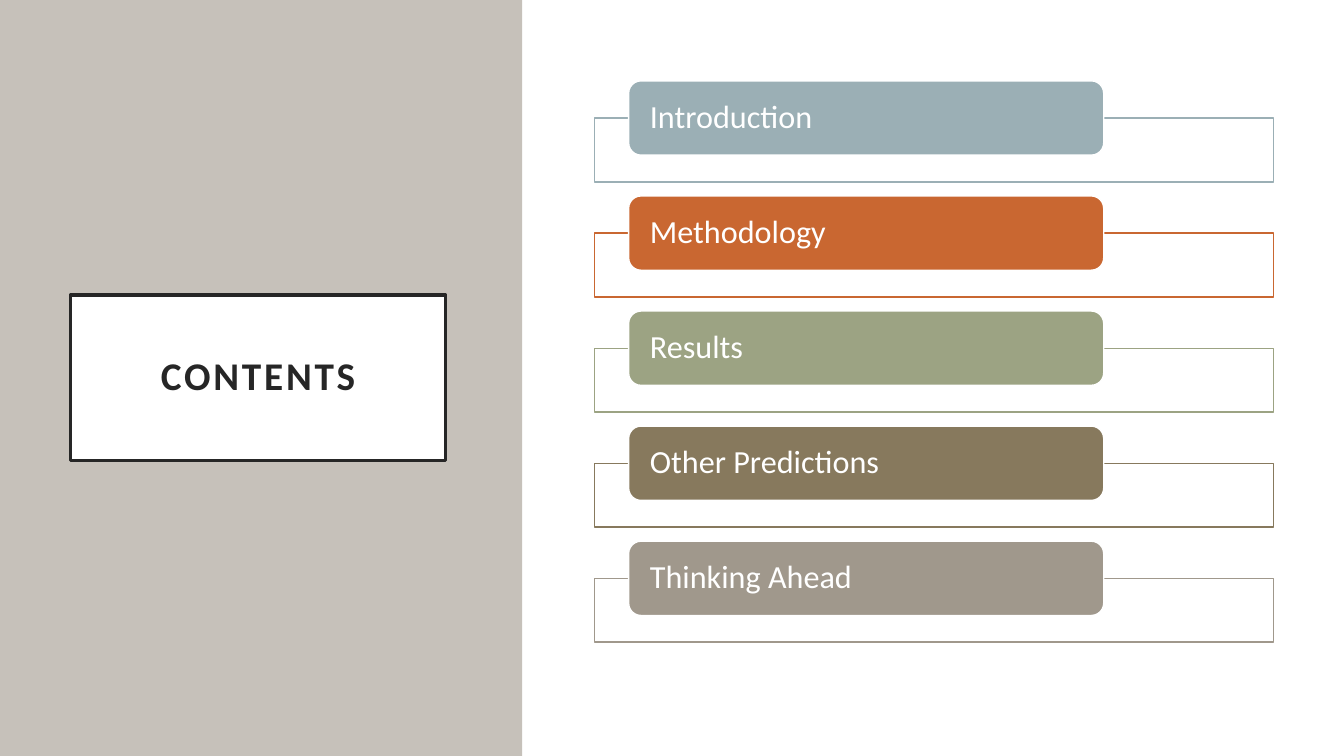
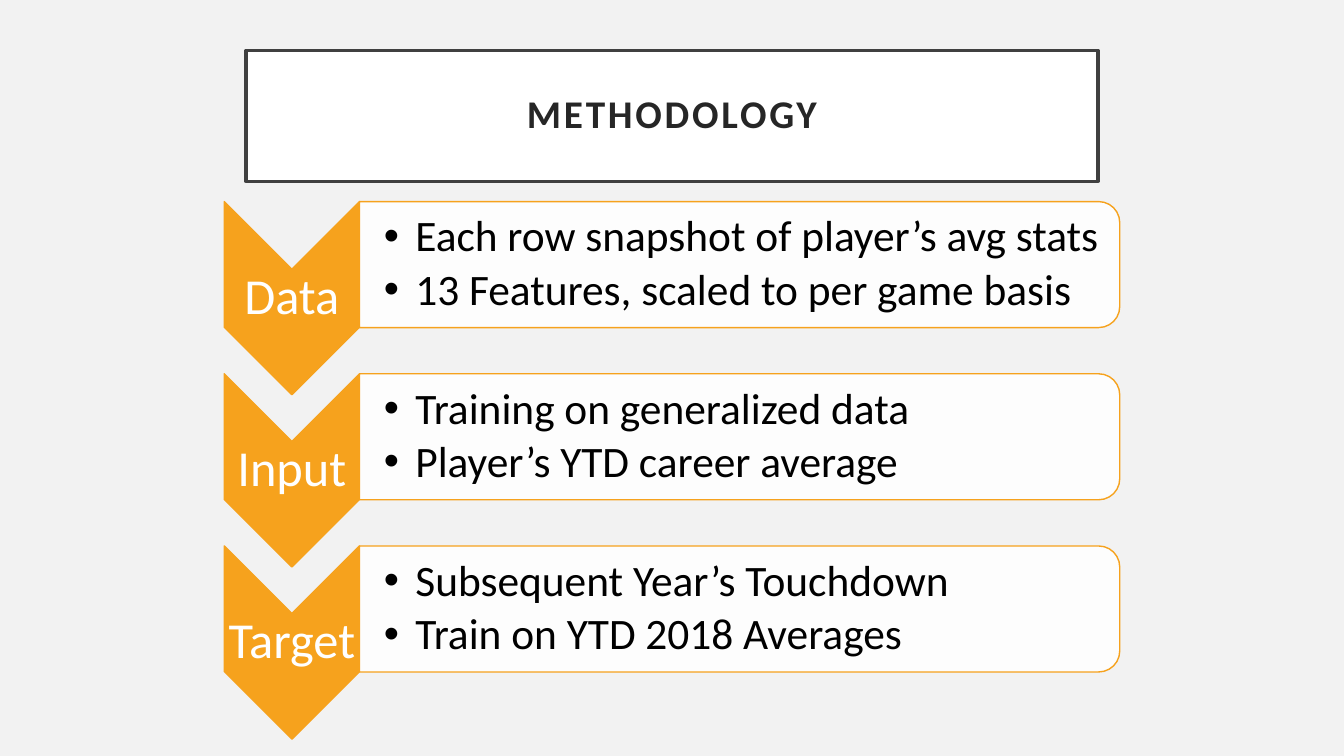
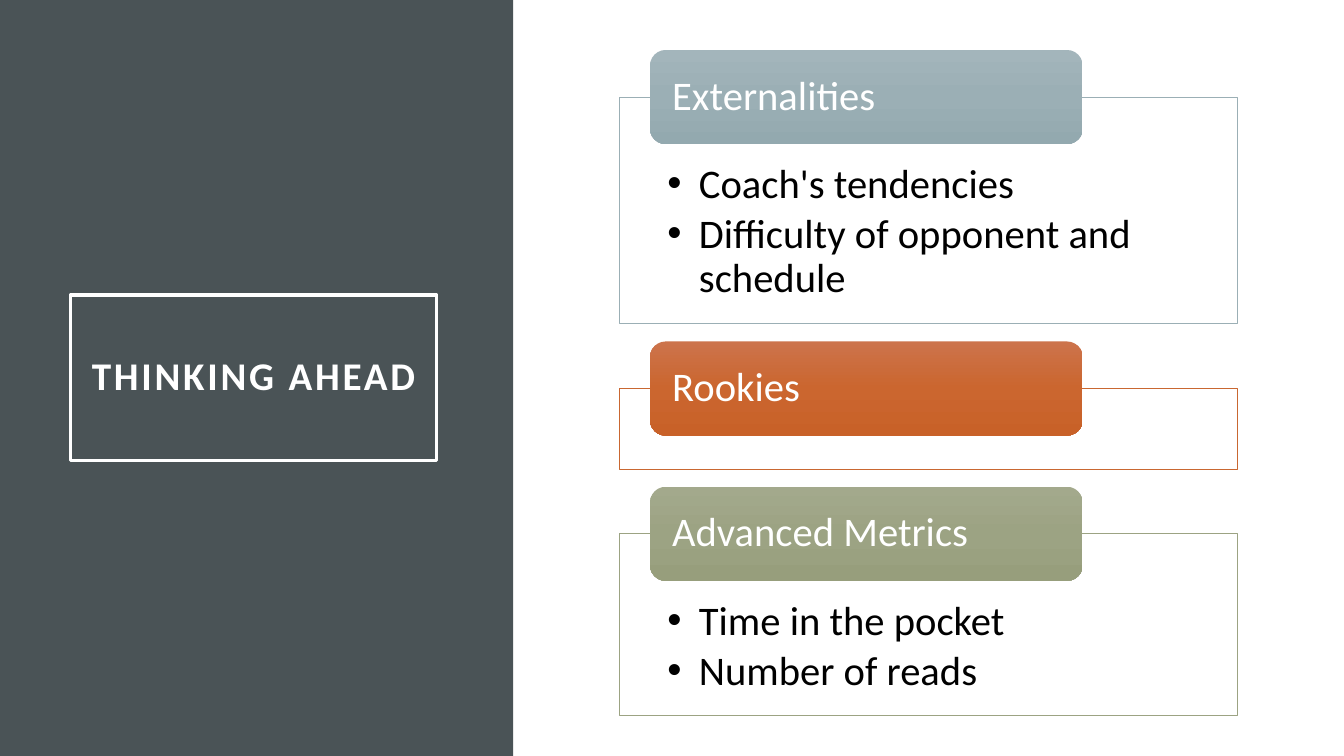
"""Build a three-slide deck on predicting touchdowns."""
from copy import deepcopy
from dataclasses import dataclass

from lxml import etree
from pptx import Presentation
from pptx.dml.color import RGBColor
from pptx.enum.shapes import MSO_SHAPE
from pptx.enum.text import MSO_ANCHOR, PP_ALIGN
from pptx.oxml.ns import qn
from pptx.util import Inches, Pt

RECTANGLE = MSO_SHAPE.RECTANGLE
ROUNDED = MSO_SHAPE.ROUNDED_RECTANGLE
CHEVRON = MSO_SHAPE.CHEVRON
END_ROUNDED = MSO_SHAPE.ROUND_2_SAME_RECTANGLE
TOP, MIDDLE = MSO_ANCHOR.TOP, MSO_ANCHOR.MIDDLE
LEFT, CENTER = PP_ALIGN.LEFT, PP_ALIGN.CENTER
COLUMNS, ROWS = 160, 90


@dataclass(frozen=True)
class Theme:
    """Colours and type sizes of the deck."""
    font: str = "Calibri"
    white: str = "FFFFFF"
    black: str = "000000"
    ink: str = "262626"
    frame: str = "404040"
    mist: str = "F2F2F2"
    sand: str = "C6C1BA"
    slate: str = "4A5356"
    amber: str = "F6A21D"
    blue: str = "9BAFB5"
    orange: str = "C96731"
    green: str = "9CA383"
    brown: str = "87795D"
    taupe: str = "A0988C"
    blue_fade: tuple = ("A3B5BB", "9BAFB5", "93A9AF")
    orange_fade: tuple = ("CC734B", "CB662F", "C86128")
    green_fade: tuple = ("A3A98C", "9CA383", "979E7C")
    title_size: int = 28
    entry_size: int = 23
    topic_size: int = 29
    step_size: int = 36
    detail_size: int = 31


class Deck:
    """Hold the theme and the current slide, and draw elements on a grid."""

    def __init__(self, theme):
        """Start an empty widescreen presentation."""
        self.theme = theme
        self.presentation = Presentation()
        self.presentation.slide_width = Inches(13.333)
        self.presentation.slide_height = Inches(7.5)
        self.slide = None

    def columns(self, count):
        """Turn grid columns into a length."""
        return round(self.presentation.slide_width * count / COLUMNS)

    def rows(self, count):
        """Turn grid rows into a length."""
        return round(self.presentation.slide_height * count / ROWS)

    def box(self, left, top, width, height):
        """Turn a grid box into lengths."""
        return self.columns(left), self.rows(top), self.columns(width), self.rows(height)

    def add_slide(self, background):
        """Add a blank slide with a plain background."""
        self.slide = self.presentation.slides.add_slide(self.presentation.slide_layouts[6])
        fill = self.slide.background.fill
        fill.solid()
        fill.fore_color.rgb = RGBColor.from_string(background)

    def shape(self, kind, box, fill=None, line=None, weight=1, alpha=None, turned=False):
        """Draw a shape in its visible box, turned a quarter if asked."""
        left, top, width, height = box
        if turned:
            left, top = left + (width - height) / 2, top + (height - width) / 2
            width, height = height, width
        shape = self.slide.shapes.add_shape(kind, *self.box(left, top, width, height))
        shape.shadow.inherit = False
        shape.rotation = 90 if turned else 0
        if fill is None:
            shape.fill.background()
        elif isinstance(fill, tuple):
            self.fade(shape.fill, fill)
        else:
            shape.fill.solid()
            shape.fill.fore_color.rgb = RGBColor.from_string(fill)
        if alpha:
            color = shape.fill._xPr.find(qn("a:solidFill"))[0]
            etree.SubElement(color, qn("a:alpha"), val=str(alpha * 1000))
        if line:
            shape.line.color.rgb = RGBColor.from_string(line)
            shape.line.width = Pt(weight)
        else:
            shape.line.fill.background()
        return shape

    def fade(self, fill, colors):
        """Fill from top to bottom through three colours."""
        fill.gradient()
        fill.gradient_angle = 270
        first = fill.gradient_stops[0]._gs
        first.addnext(deepcopy(first))
        for index, (stop, color) in enumerate(zip(fill.gradient_stops, colors)):
            stop.position = index / 2
            stop.color.rgb = RGBColor.from_string(color)

    def set_text(self, shape, lines, size, color, insets, anchor=MIDDLE, align=LEFT,
                 bullets=False, bold=False, tracking=0):
        """Set paragraphs in a shape, with insets left, top, right and bottom."""
        frame = shape.text_frame
        frame.word_wrap = True
        frame.vertical_anchor = anchor
        frame.margin_left, frame.margin_top = self.columns(insets[0]), self.rows(insets[1])
        frame.margin_right, frame.margin_bottom = self.columns(insets[2]), self.rows(insets[3])
        for index, line in enumerate(lines):
            paragraph = frame.add_paragraph() if index else frame.paragraphs[0]
            paragraph.text = line
            paragraph.alignment = align
            paragraph.line_spacing = 0.9
            if bullets:
                paragraph.space_after = Pt(size * 0.15)
                self.bullet(paragraph)
            font = paragraph.font
            font.name, font.size, font.bold = self.theme.font, Pt(size), bold
            font.color.rgb = RGBColor.from_string(color)
            if tracking:
                font._rPr.set("spc", str(tracking * 100))

    def bullet(self, paragraph):
        """Give a paragraph a hanging bullet."""
        properties = paragraph._p.get_or_add_pPr()
        indent = self.columns(3.75)
        properties.set("marL", str(indent))
        properties.set("indent", str(-indent))
        etree.SubElement(properties, qn("a:buFont"), typeface="Arial")
        etree.SubElement(properties, qn("a:buChar"), char="\u2022")

    def text(self, box, lines, size, color, insets, **style):
        """Add a text box."""
        textbox = self.slide.shapes.add_textbox(*self.box(*box))
        self.set_text(textbox, lines, size, color, insets, **style)

    def title(self, words, box, fill, line, color):
        """Draw the framed slide title."""
        shape = self.shape(RECTANGLE, box, fill, line, 2.5)
        self.set_text(shape, [words], self.theme.title_size, color, [2.4] * 4,
                      align=CENTER, bold=True, tracking=2)

    def side_panel(self, words, width, panel, fill, color):
        """Draw the left panel with its title at mid-height."""
        self.shape(RECTANGLE, (0, 0, width, ROWS), panel)
        height = 19.7
        self.title(words, (8.4, (ROWS - height) / 2, width - 17.5, height), fill, color, color)

    def card(self, heading, box, tab_height, size, line, weight, tab_fill,
             tab_line=None, points=()):
        """Draw an outlined card with a heading tab centred on its top edge."""
        left, top, width, height = box
        card = self.shape(RECTANGLE, box, self.theme.white, line, weight, alpha=90)
        if points:
            self.set_text(card, points, size, self.theme.black, (5.76, 7.9, 5.76, 2.7),
                          anchor=TOP, bullets=True)
        tab_box = (left + width * 0.05, top - tab_height / 2, width * 0.7, tab_height)
        tab = self.shape(ROUNDED, tab_box, tab_fill, tab_line)
        self.set_text(tab, [heading], size, self.theme.white, (2.1, 0, 2.1, 0))

    def step(self, label, points, top):
        """Draw a downward chevron with its label and a box of points."""
        theme = self.theme
        left, width, height = 26.7, 16.1, 23
        self.shape(CHEVRON, (left, top, width, height), theme.amber, theme.amber, turned=True)
        self.text((left, top + width / 2, width, height - width), [label],
                  theme.step_size, theme.white, [0.36] * 4, align=CENTER)
        left, width, height = left + width, 90.5, 15
        self.shape(END_ROUNDED, (left, top, width, height), theme.white, theme.amber,
                   alpha=90, turned=True)
        self.text((left, top + 0.7, width - 0.7, height - 1.4), points,
                  theme.detail_size, theme.black, (2.9, 0.24, 0.24, 0.24), bullets=True)


def contents(deck):
    """Build the contents slide."""
    theme = deck.theme
    deck.add_slide(theme.white)
    deck.side_panel("CONTENTS", 62.15, theme.sand, theme.white, theme.ink)
    entries = (
        ("Introduction", theme.blue),
        ("Methodology", theme.orange),
        ("Results", theme.green),
        ("Other Predictions", theme.brown),
        ("Thinking Ahead", theme.taupe),
    )
    for index, (heading, color) in enumerate(entries):
        deck.card(heading, (70.8, 14.05 + index * 13.7, 80.8, 7.6), 8.85,
                  theme.entry_size, color, 1, color, theme.white)


def methodology(deck):
    """Build the methodology slide."""
    theme = deck.theme
    deck.add_slide(theme.mist)
    deck.title("METHODOLOGY", (29.3, 6, 101.4, 15.6), theme.white, theme.frame, theme.ink)
    steps = (
        ("Data", ("Each row snapshot of player\u2019s avg stats",
                  "13 Features, scaled to per game basis")),
        ("Input", ("Training on generalized data", "Player\u2019s YTD career average")),
        ("Target", ("Subsequent Year\u2019s Touchdown", "Train on YTD 2018 Averages")),
    )
    for index, (label, points) in enumerate(steps):
        deck.step(label, points, 24 + index * 20.5)


def thinking_ahead(deck):
    """Build the outlook slide."""
    theme = deck.theme
    deck.add_slide(theme.white)
    deck.side_panel("THINKING AHEAD", 61.1, theme.slate, None, theme.white)
    topics = (
        ("Externalities", 27, theme.blue, theme.blue_fade,
         ("Coach's tendencies", "Difficulty of opponent and schedule")),
        ("Rookies", 9.6, theme.orange, theme.orange_fade, ()),
        ("Advanced Metrics", 21.6, theme.green, theme.green_fade,
         ("Time in the pocket", "Number of reads")),
    )
    top, gap = 11.55, 7.7
    for heading, height, line, fade, points in topics:
        deck.card(heading, (73.7, top, 73.6, height), 11.2, theme.topic_size,
                  line, 0.5, fade, points=points)
        top += height + gap


def main():
    """Build and save the deck."""
    deck = Deck(Theme())
    contents(deck)
    methodology(deck)
    thinking_ahead(deck)
    deck.presentation.save("out.pptx")


main()
